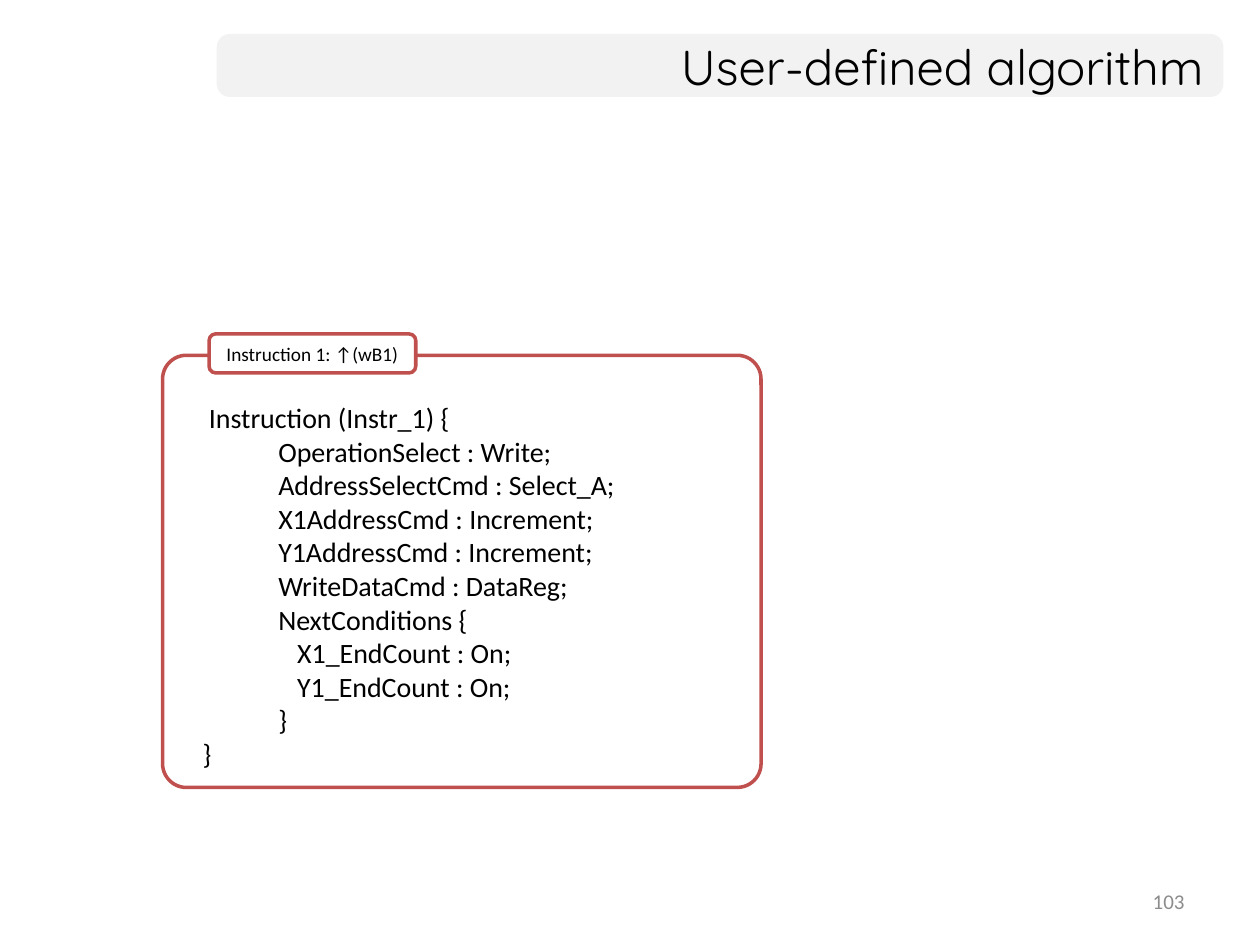
from dataclasses import dataclass

from pptx import Presentation
from pptx.dml.color import RGBColor
from pptx.enum.shapes import MSO_SHAPE
from pptx.enum.text import MSO_ANCHOR, PP_ALIGN
from pptx.util import Inches, Pt

ROUNDED = MSO_SHAPE.ROUNDED_RECTANGLE
LEFT, CENTER, RIGHT = PP_ALIGN.LEFT, PP_ALIGN.CENTER, PP_ALIGN.RIGHT
TOP, MIDDLE = MSO_ANCHOR.TOP, MSO_ANCHOR.MIDDLE


@dataclass(frozen=True)
class Theme:
    ink: str = "000000"
    muted: str = "8C8C8C"
    band: str = "F2F2F2"
    paper: str = "FFFFFF"
    accent: str = "C0504D"
    heading_font: str = "Quicksand"
    body_font: str = "Calibri"
    title_size: int = 28
    code_size: int = 16
    number_size: int = 12
    label_size: int = 11
    border: int = 2


@dataclass(frozen=True)
class Area:
    left: float
    top: float
    width: float
    height: float

    def lengths(self):
        return [Inches(value) for value in (self.left, self.top, self.width, self.height)]


@dataclass(frozen=True)
class Panel:
    area: Area
    fill: str
    border: str | None = None
    rounding: float = 0.17


@dataclass(frozen=True)
class TextBlock:
    area: Area
    lines: tuple[str, ...]
    size: int
    font: str
    color: str
    align: PP_ALIGN = LEFT
    anchor: MSO_ANCHOR = MIDDLE


THEME = Theme()
LABEL_AREA = Area(1.66, 2.65, 1.64, 0.31)

PANELS = (
    Panel(Area(1.72, 0.27, 7.99, 0.5), THEME.band, rounding=0.21),
    Panel(Area(1.29, 2.82, 4.75, 3.43), THEME.paper, THEME.accent, 0.055),
    Panel(LABEL_AREA, THEME.paper, THEME.accent),
)

CODE = """ Instruction (Instr_1) {
            OperationSelect : Write;
            AddressSelectCmd : Select_A;
            X1AddressCmd : Increment;
            Y1AddressCmd : Increment;
            WriteDataCmd : DataReg;
            NextConditions {
               X1_EndCount : On;
               Y1_EndCount : On;
            }
}"""

TEXTS = (
    TextBlock(Area(1.72, 0.27, 7.93, 0.5), ("User-defined algorithm",),
              THEME.title_size, THEME.heading_font, THEME.ink, RIGHT),
    TextBlock(Area(7.17, 6.95, 2.33, 0.4), ("103",),
              THEME.number_size, THEME.body_font, THEME.muted, RIGHT),
    TextBlock(LABEL_AREA, ("Instruction 1: ↑(wB1)",),
              THEME.label_size, THEME.body_font, THEME.ink, CENTER),
    TextBlock(Area(1.51, 3.13, 4.38, 3.06), tuple(CODE.split("\n")),
              THEME.code_size, THEME.body_font, THEME.ink, anchor=TOP),
)


def draw_panel(page, panel: Panel):
    shape = page.shapes.add_shape(ROUNDED, *panel.area.lengths())
    shape.shadow.inherit = False
    shape.adjustments[0] = panel.rounding
    shape.fill.solid()
    shape.fill.fore_color.rgb = RGBColor.from_string(panel.fill)
    if panel.border:
        shape.line.color.rgb = RGBColor.from_string(panel.border)
        shape.line.width = Pt(THEME.border)
    else:
        shape.line.fill.background()
    return shape


def write_text(shape, block: TextBlock) -> None:
    frame = shape.text_frame
    frame.word_wrap = True
    frame.vertical_anchor = block.anchor
    for index, line in enumerate(block.lines):
        para = frame.add_paragraph() if index else frame.paragraphs[0]
        para.alignment = block.align
        span = para.add_run()
        span.text = line
        span.font.size = Pt(block.size)
        span.font.name = block.font
        span.font.color.rgb = RGBColor.from_string(block.color)


def main() -> None:
    deck = Presentation()
    deck.slide_width, deck.slide_height = Inches(10), Inches(7.5)
    page = deck.slides.add_slide(deck.slide_layouts[6])
    shapes = {panel.area: draw_panel(page, panel) for panel in PANELS}
    for block in TEXTS:
        box = shapes.get(block.area) or page.shapes.add_textbox(*block.area.lengths())
        write_text(box, block)
    deck.save("out.pptx")


if __name__ == "__main__":
    main()
